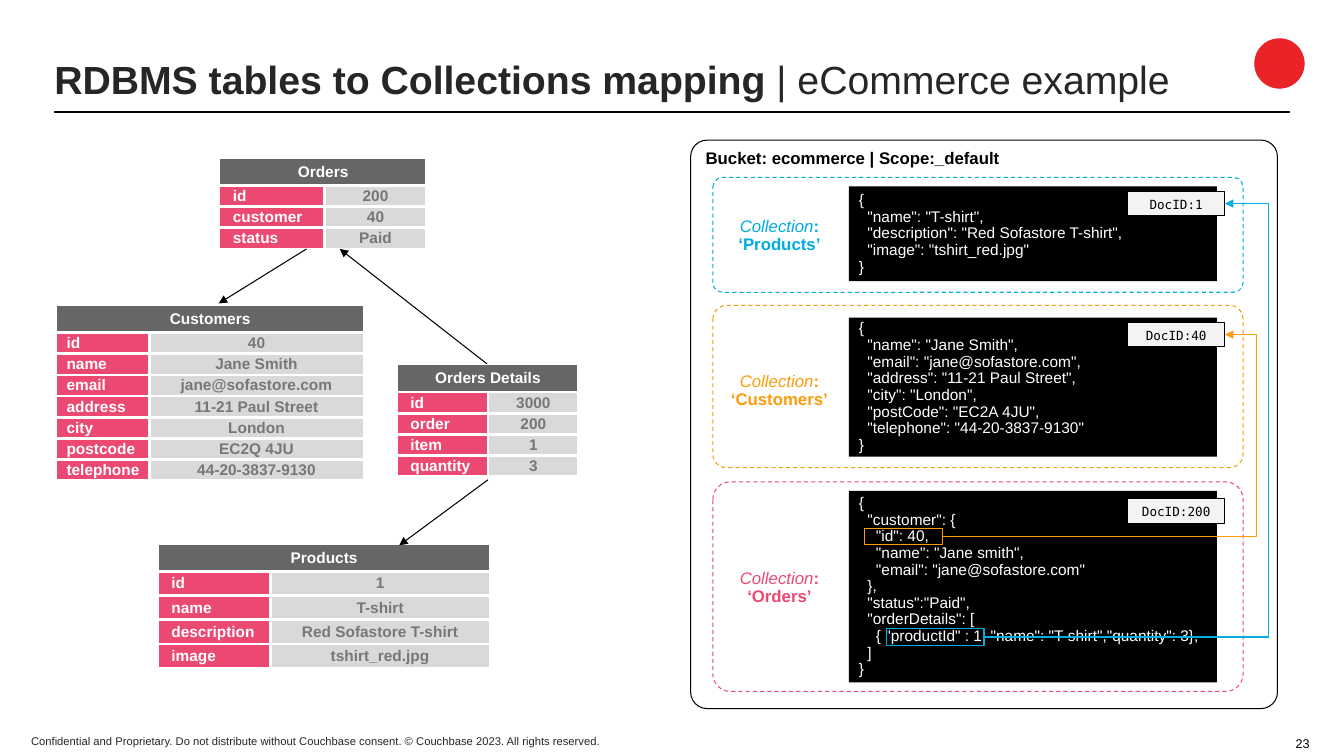
from lxml import etree
from pptx import Presentation
from pptx import util as u
from pptx.dml.color import RGBColor
from pptx.enum import dml, shapes, text
from pptx.oxml.ns import qn

COLORS = {
    "ink": "262626", "black": "000000", "white": "FFFFFF", "badge": "EA2328",
    "header": "666666", "value": "777777", "cell": "D9D9D9", "tag": "F3F3F3",
    "pink": "EB4971", "orange": "FC9C0C", "blue": "00ACE0",
}
LEFT, CENTER = text.PP_ALIGN.LEFT, text.PP_ALIGN.CENTER
TOP, MIDDLE, BOTTOM = (text.MSO_ANCHOR.TOP, text.MSO_ANCHOR.MIDDLE,
                       text.MSO_ANCHOR.BOTTOM)
RECT, ROUND = shapes.MSO_SHAPE.RECTANGLE, shapes.MSO_SHAPE.ROUNDED_RECTANGLE
RIGHT_SIDE = 3


def rgb(name):
    return RGBColor.from_string(COLORS[name])


def put_text(tf, content, size=11, color="black", font="Arial", bold=False,
             align=LEFT, spacing=None):
    """Write lines of a string, or one paragraph of (text, format) runs."""
    lines = content
    if isinstance(content, str):
        lines = [[(line, {})] for line in content.split("\n")]
    for i, runs in enumerate(lines):
        p = tf.paragraphs[0] if i == 0 else tf.add_paragraph()
        p.alignment = align
        if spacing:
            p.line_spacing = spacing
        for words, style in runs:
            r = p.add_run()
            r.text = words
            r.font.size, r.font.name = u.Pt(size), font
            r.font.color.rgb = rgb(color)
            r.font.bold = style.get("bold", bold)
            r.font.italic = style.get("italic", False)


def set_margins(target, margins):
    (target.margin_left, target.margin_top,
     target.margin_right, target.margin_bottom) = map(u.Inches, margins)


class Deck:
    def __init__(self):
        self.prs = Presentation()
        self.prs.slide_width = u.Inches(13.33)
        self.prs.slide_height = u.Inches(7.5)
        self.s = self.prs.slides.add_slide(self.prs.slide_layouts[6])

    def frame(self, sp, content, anchor, margins, **fmt):
        tf = sp.text_frame
        tf.word_wrap = True
        tf.vertical_anchor = anchor
        set_margins(tf, margins)
        put_text(tf, content, **fmt)

    def label(self, box, content, anchor=TOP, margins=(.1, .05, .1, .05), **fmt):
        sp = self.s.shapes.add_textbox(*map(u.Inches, box))
        self.frame(sp, content, anchor, margins, **fmt)

    def shape(self, kind, box, fill=None, line=None, dashed=False, radius=None):
        sp = self.s.shapes.add_shape(kind, *map(u.Inches, box))
        sp.shadow.inherit = False
        if fill:
            sp.fill.solid()
            sp.fill.fore_color.rgb = rgb(fill)
        else:
            sp.fill.background()
        if line:
            sp.line.color.rgb = rgb(line)
            sp.line.width = u.Pt(.75)
        else:
            sp.line.fill.background()
        if dashed:
            sp.line.dash_style = dml.MSO_LINE.DASH
        if radius:
            sp.adjustments[0] = radius
        return sp

    def line(self, start, end, color="black", width=.75, arrow=True, bend=None):
        kind = shapes.MSO_CONNECTOR.ELBOW if bend else shapes.MSO_CONNECTOR.STRAIGHT
        c = self.s.shapes.add_connector(kind, *map(u.Inches, start + end))
        c.line.color.rgb = rgb(color)
        c.line.width = u.Pt(width)
        sp_pr = c._element.spPr
        if arrow:
            etree.SubElement(sp_pr.find(qn("a:ln")), qn("a:tailEnd"), type="triangle")
        etree.SubElement(sp_pr, qn("a:effectLst"))
        if bend:
            guides = sp_pr.find(qn("a:prstGeom")).get_or_add_avLst()
            etree.SubElement(guides, qn("a:gd"), name="adj1",
                             fmla=f"val {round(bend * 100000)}")
        return c

    def cell(self, cell, content, fill, color, margins, borders, align=CENTER):
        cell.fill.solid()
        cell.fill.fore_color.rgb = rgb(fill)
        cell.vertical_anchor = MIDDLE
        set_margins(cell, margins)
        put_text(cell.text_frame, content, color=color, bold=True, align=align)
        tc_pr = cell._tc.get_or_add_tcPr()
        for i, side in enumerate(borders):
            ln = etree.Element(qn(f"a:ln{side}"), w=str(u.Pt(2.25)))
            solid = etree.SubElement(ln, qn("a:solidFill"))
            etree.SubElement(solid, qn("a:srgbClr"), val=COLORS["white"])
            tc_pr.insert(i, ln)

    def table(self, title, left, top, widths, row_h, rows, side=.13, end=.13):
        height = .27 + row_h * len(rows)
        box = (left, top, sum(widths), height)
        t = self.s.shapes.add_table(len(rows) + 1, 2, *map(u.Inches, box)).table
        t.first_row = t.horz_banding = False
        for col, width in zip(t.columns, widths):
            col.width = u.Inches(width)
        for i, row in enumerate(t.rows):
            row.height = u.Inches(row_h if i else .27)
        t.cell(0, 0).merge(t.cell(0, 1))
        self.cell(t.cell(0, 0), title, "header", "white", (0, .04, 0, .04), "RB")
        for i, (field, value) in enumerate(rows, 1):
            self.cell(t.cell(i, 0), field, "pink", "white", (side, .01, end, .01),
                      "RTB", LEFT)
            self.cell(t.cell(i, 1), value, "cell", "value", (end, .01, end, .01),
                      "LRTB")

    def collection(self, name, color, top, height, label_top, code_box, code,
                   tag_top, doc_id):
        self.shape(ROUND, (7.07, top, 5.26, height), line=color, dashed=True,
                   radius=.084)
        sp = self.shape(RECT, (8.42, code_box[0], 3.65, code_box[1]), fill="black")
        self.frame(sp, code, MIDDLE, (.1, .1, 0, .1), color="white", spacing=.9)
        runs = [("Collection", {"italic": True}), (f": ‘{name}’", {"bold": True})]
        self.label((7.07, label_top, 1.42, .57), [runs], margins=(0, .1, .1, .1),
                   size=12, color=color, align=CENTER, spacing=.9)
        tag = self.shape(RECT, (11.18, tag_top, .97, .24), fill="tag", line="black")
        self.frame(tag, f"DocID:{doc_id}", TOP, (.1, .05, .1, .05), size=9,
                   font="DejaVu Sans Mono", align=CENTER)
        return tag

    def reference(self, box, color, tag, tag_y, bend):
        sp = self.shape(RECT, box, line=color)
        left, top, width, height = box
        c = self.line((left + width, top + height / 2), (12.15, tag_y), color, bend=bend)
        c.begin_connect(sp, RIGHT_SIDE)
        c.end_connect(tag, RIGHT_SIDE)


PRODUCT = '''{
  "name": "T-shirt",
  "description": "Red Sofastore T-shirt",
  "image": "tshirt_red.jpg"
}'''
CUSTOMER = '''{
  "name": "Jane Smith",
  "email": "jane@sofastore.com",
  "address": "11-21 Paul Street",
  "city": "London",
  "postCode": "EC2A 4JU",
  "telephone": "44-20-3837-9130"
}'''
ORDER = '''{
  "customer": {
    "id": 40,
    "name": "Jane smith",
    "email": "jane@sofastore.com"
  },
  "status":"Paid",
  "orderDetails": [
    { "productId" : 1, "name": "T-shirt","quantity": 3},
  ]
}'''


def main():
    d = Deck()

    # Title, rule, badge and footer
    title = [("RDBMS tables to Collections mapping ", {"bold": True}),
             ("| eCommerce example", {})]
    d.label((.44, .51, 11.96, .6), [title], MIDDLE, size=28, color="ink", spacing=.9)
    d.line((.54, 1.11), (12.79, 1.11), width=1, arrow=False)
    d.shape(shapes.MSO_SHAPE.OVAL, (12.44, .38, .5, .5), fill="badge")
    d.label((.21, 7.23, 5.97, .24),
            "Confidential and Proprietary. Do not distribute without Couchbase "
            "consent. © Couchbase 2023. All rights reserved.",
            BOTTOM, size=8, color="ink")
    d.label((12.72, 7.26, .61, .24), "23", MIDDLE, (.13, 0, .13, 0), size=9)

    # Relational tables
    d.table("Orders", 2.18, 1.57, (1.04, 1.01), .21,
            [("id", "200"), ("customer", "40"), ("status", "Paid")])
    d.table("Customers", .56, 3.03, (.92, 2.13), .21,
            [("id", "40"), ("name", "Jane Smith"), ("email", "jane@sofastore.com"),
             ("address", "11-21 Paul Street"), ("city", "London"),
             ("postcode", "EC2Q 4JU"), ("telephone", "44-20-3837-9130")],
            side=.1, end=0)
    d.table("Orders Details", 3.94, 3.62, (.9, .9), .21,
            [("id", "3000"), ("order", "200"), ("item", "1"), ("quantity", "3")])
    d.table("Products", 1.57, 5.4, (1.11, 2.18), .24,
            [("id", "1"), ("name", "T-shirt"), ("description", "Red Sofastore T-shirt"),
             ("image", "tshirt_red.jpg")])
    for start, end in [((3.04, 2.47), (2.17, 3.01)), ((4.83, 3.61), (3.37, 2.47)),
                       ((4.84, 4.76), (3.96, 5.41))]:
        d.line(start, end)

    # Bucket with its collections
    d.shape(ROUND, (6.85, 1.39, 5.82, 5.64), line="black", radius=.029)
    d.label((6.9, 1.37, 3.29, .4), "Bucket: ecommerce | Scope:_default",
            margins=(.1, .1, .1, .1), size=12, bold=True)
    product = d.collection("Products", "blue", 1.76, 1.14, 2.06, (1.85, .94),
                           PRODUCT, 1.9, 1)
    customer = d.collection("Customers", "orange", 3.03, 1.61, 3.6, (3.15, 1.38),
                            CUSTOMER, 3.2, 40)
    d.collection("Orders", "pink", 4.78, 2.08, 5.55, (4.87, 1.9), ORDER, 4.95, 200)

    # References from the order to the other documents
    d.reference((8.57, 5.24, .78, .16), "orange", customer, 3.32, 1.11)
    d.reference((8.79, 6.24, .97, .16), "blue", product, 2.02, 1.18)

    d.prs.save("out.pptx")


if __name__ == "__main__":
    main()
